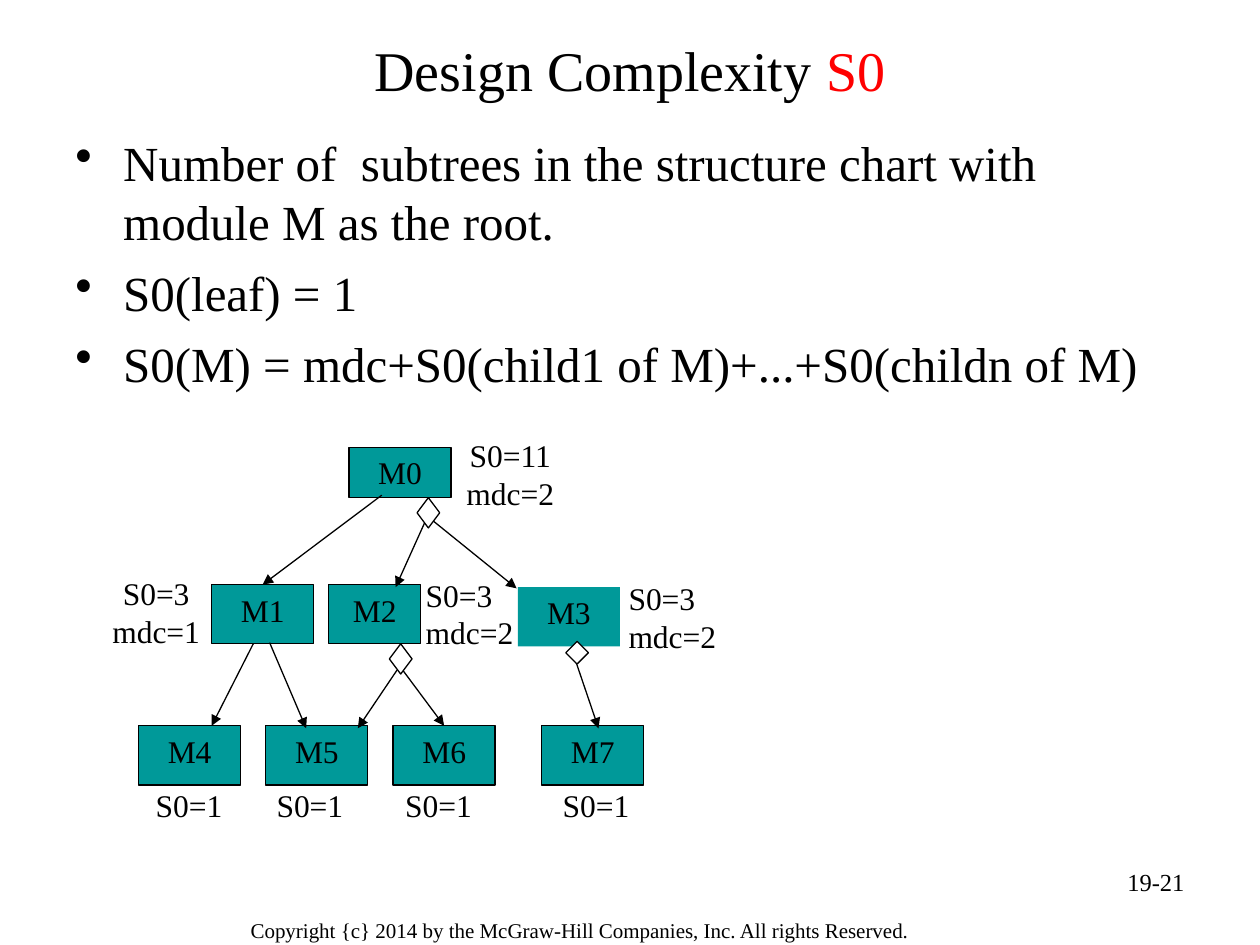
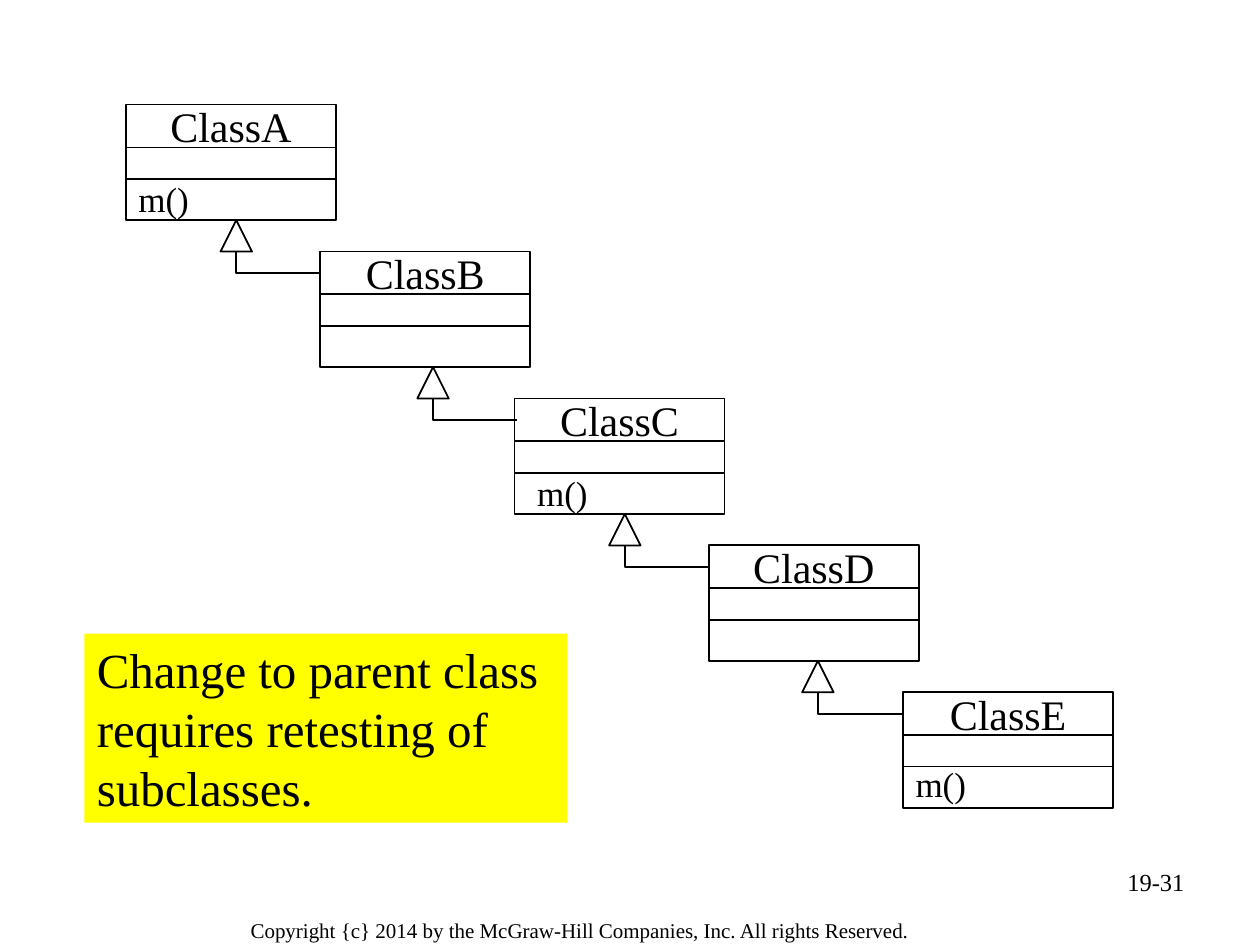
"""Build two slides on design complexity and class retesting."""
from dataclasses import dataclass
from typing import NamedTuple, Optional

from lxml.etree import SubElement
from pptx import Presentation
from pptx.dml.color import RGBColor
from pptx.enum.shapes import MSO_CONNECTOR as Link, MSO_SHAPE as Form
from pptx.enum.text import MSO_ANCHOR as Anchor, PP_ALIGN as Align
from pptx.oxml.ns import qn
from pptx.shapes.autoshape import Shape
from pptx.shapes.connector import Connector
from pptx.slide import Slide
from pptx.util import Inches, Pt

BLACK = RGBColor(0, 0, 0)
WHITE = RGBColor(255, 255, 255)
RED = RGBColor(255, 0, 0)
TEAL = RGBColor(0, 153, 153)
YELLOW = RGBColor(255, 255, 0)
FACE = "Times New Roman"
WIDE, HIGH = Inches(10), Inches(7.5)
COLS, ROWS = 100, 75
THIN, FIRM = 0.75, 1
RIGHTS = "Copyright {c} 2014 by the McGraw-Hill Companies, Inc. All rights Reserved."


class Area(NamedTuple):
    """Left, top, width and height in grid columns and rows."""
    x: float
    y: float
    w: float
    h: float


@dataclass
class Module:
    """A box of the structure chart."""
    name: str
    area: Area
    edge: Optional[float] = THIN


@dataclass
class Note:
    """A label beside or below a module."""
    text: str
    area: Area
    align: Align = Align.CENTER


@dataclass
class Call:
    """An arrow, with the module whose top it joins, if any."""
    x1: float
    y1: float
    x2: float
    y2: float
    goal: str = ""


@dataclass
class Kind:
    """A class: offset of its hook and place of its method."""
    name: str
    hook: float = 0
    spot: Optional[tuple[float, float]] = None


MODULES = [
    Module("M0", Area(27.7, 35.5, 8.1, 4)),
    Module("M1", Area(16.8, 46.4, 8.1, 4.7)),
    Module("M2", Area(26.1, 46.4, 7.3, 4.7)),
    Module("M3", Area(41.1, 46.6, 8.1, 4.7), None),
] + [Module(f"M{n}", Area(x, 57.6, 8.1, 4.7))
     for n, x in enumerate((11, 21.1, 31.2, 43), 4)]
CALLS = [
    Call(30.3, 39.3, 20.7, 46.7, "M1"),
    Call(33.7, 41.5, 31.4, 46.6),
    Call(34.2, 41.2, 41, 46.7),
    Call(20.1, 51.1, 16.8, 57.6),
    Call(21.4, 51, 24.3, 57.8),
    Call(31.5, 53.2, 28.4, 57.8),
    Call(31.9, 53.1, 35.5, 57.6, "M6"),
    Call(45.6, 52.2, 47.5, 57.8),
]
CHOICES = [Area(30.9, 51.1, 1.8, 2.4), Area(33.1, 39.5, 1.8, 2.4),
           Area(44.9, 50.9, 1.8, 1.8)]
NOTES = [
    Note("S0=11\nmdc=2", Area(35.7, 34.1, 9.6, 7.8)),
    Note("S0=3\nmdc=1", Area(7.6, 45.1, 9.6, 8.3)),
    Note("S0=3\nmdc=2", Area(32.8, 45.2, 9.6, 8.3), Align.LEFT),
    Note("S0=3\nmdc=2", Area(48.9, 45.5, 9.6, 8.3), Align.LEFT),
] + [Note("S0=1", Area(x, 61.9, 9.6, 5.5)) for x in (10.2, 19.8, 30, 42.5)]
KINDS = [Kind("ClassA", 7.5, (0, 5.3)), Kind("ClassB", 7.7),
         Kind("ClassC", 7.5, (0.8, 5.3)), Kind("ClassD", 7.4),
         Kind("ClassE", spot=(0, 5.1))]
POINTS = ["Number of  subtrees in the structure chart with module M as the root.",
          "S0(leaf) = 1",
          "S0(M) = mdc+S0(child1 of M)+...+S0(childn of M)"]


def col(n: float) -> int:
    """Turn columns into a length."""
    return round(WIDE * n / COLS)


def row(n: float) -> int:
    """Turn rows into a length."""
    return round(HIGH * n / ROWS)


def place(a: Area) -> tuple[int, int, int, int]:
    """Turn an area into lengths."""
    return col(a.x), row(a.y), col(a.w), row(a.h)


def write(box: Shape, text: str, size: float, align: Align = Align.LEFT) -> None:
    """Fill a shape with styled text."""
    frame = box.text_frame
    frame.word_wrap = True
    frame.vertical_anchor = Anchor.TOP
    frame.text = text
    for para in frame.paragraphs:
        para.alignment = align
        for run in para.runs:
            font = run.font
            font.name, font.size, font.color.rgb = FACE, Pt(size), BLACK


def label(slide: Slide, area: Area, text: str, size: float,
          align: Align = Align.LEFT) -> Shape:
    """Add a text box."""
    box = slide.shapes.add_textbox(*place(area))
    write(box, text, size, align)
    return box


def block(slide: Slide, form: Form, area: Area, fill: Optional[RGBColor],
          edge: Optional[float]) -> Shape:
    """Add a preset shape."""
    shape = slide.shapes.add_shape(form, *place(area))
    shape.shadow.inherit = False
    if fill is None:
        shape.fill.background()
    else:
        shape.fill.solid()
        shape.fill.fore_color.rgb = fill
    if edge is None:
        shape.line.fill.background()
    else:
        shape.line.color.rgb, shape.line.width = BLACK, Pt(edge)
    return shape


def wire(slide: Slide, x1: float, y1: float, x2: float, y2: float,
         edge: float = FIRM, kind: Link = Link.STRAIGHT) -> Connector:
    """Add a connector without shadow."""
    link = slide.shapes.add_connector(kind, col(x1), row(y1), col(x2), row(y2))
    link.line.color.rgb, link.line.width = BLACK, Pt(edge)
    SubElement(link._element.spPr, qn("a:effectLst"))
    return link


def bend(slide: Slide, x: float, y: float, w: float, h: float) -> None:
    """Add a connector that goes down, then right."""
    mid, low = x + w / 2, y + h / 2
    link = wire(slide, mid + h / 2, low - w / 2, mid - h / 2, low + w / 2,
                kind=Link.ELBOW)
    props = link._element.spPr
    props.find(qn("a:xfrm")).set("rot", str(270 * 60000))
    props.find(qn("a:prstGeom")).set("prst", "bentConnector2")


def start(deck: Presentation, page: str) -> Slide:
    """Add a slide with its footer and page number."""
    slide = deck.slides.add_slide(deck.slide_layouts[6])
    label(slide, Area(18.9, 72.3, 61.9, 3.1), RIGHTS, 12)
    label(slide, Area(71.7, 68.3, 23.3, 5.2), page, 14, Align.RIGHT)
    return slide


def bullets(box: Shape) -> None:
    """Give each paragraph a hanging bullet."""
    for n, para in enumerate(box.text_frame.paragraphs):
        props = para._p.get_or_add_pPr()
        props.set("marL", str(Inches(0.38)))
        props.set("indent", str(-Inches(0.38)))
        SubElement(props, qn("a:buChar")).set("char", "•")
        if n:
            para.space_before = Pt(7)


def chart(deck: Presentation) -> None:
    """Draw the structure chart slide."""
    slide = start(deck, "19-21")
    title = label(slide, Area(5, 1.7, 90, 7.5), "Design Complexity ", 32, Align.CENTER)
    title.text_frame.vertical_anchor = Anchor.MIDDLE
    mark = title.text_frame.paragraphs[0].add_run()
    mark.text = "S0"
    mark.font.name, mark.font.size, mark.font.color.rgb = FACE, Pt(32), RED
    bullets(label(slide, Area(5, 10, 90, 22.2), "\n".join(POINTS), 28))
    boxes = {}
    for mod in MODULES:
        box = block(slide, Form.RECTANGLE, mod.area, TEAL, mod.edge)
        write(box, mod.name, 18, Align.CENTER)
        boxes[mod.name] = box
    for call in CALLS:
        link = wire(slide, call.x1, call.y1, call.x2, call.y2, THIN)
        SubElement(link.line._get_or_add_ln(), qn("a:tailEnd")).set("type", "triangle")
        if call.goal:
            link.end_connect(boxes[call.goal], 0)
    for area in CHOICES:
        block(slide, Form.DIAMOND, area, WHITE, THIN)
    for note in NOTES:
        label(slide, note.area, note.text, 18, note.align)


def classes(deck: Presentation) -> None:
    """Draw the class chain slide."""
    slide = start(deck, "19-31")
    wide, high = 16.67, 9.17
    for n, kind in enumerate(KINDS):
        x, y = 10 + 15.42 * n, 8.3 + 11.66 * n
        block(slide, Form.RECTANGLE, Area(x, y, wide, high), None, FIRM)
        label(slide, Area(x, y - 0.8, wide, 5), kind.name, 24, Align.CENTER)
        for gap in (3.4, 5.9):
            wire(slide, x, y + gap, x + wide, y + gap)
        if kind.hook:
            left, foot = x + kind.hook, y + high
            block(slide, Form.ISOSCELES_TRIANGLE, Area(left, foot, 2.5, 2.5), None, FIRM)
            bend(slide, left + 1.25, foot + 2.5, 6.7, 1.7)
        if kind.spot:
            dx, dy = kind.spot
            label(slide, Area(x + dx, y + dy, 13.3, 4.4), "m()", 20)
    box = block(slide, Form.RECTANGLE, Area(6.7, 50.3, 38.3, 15), YELLOW, None)
    write(box, "Change to parent class requires retesting of subclasses.", 28)


def main() -> None:
    """Build and save the deck."""
    deck = Presentation()
    deck.slide_width, deck.slide_height = WIDE, HIGH
    chart(deck)
    classes(deck)
    deck.save("out.pptx")


if __name__ == "__main__":
    main()
